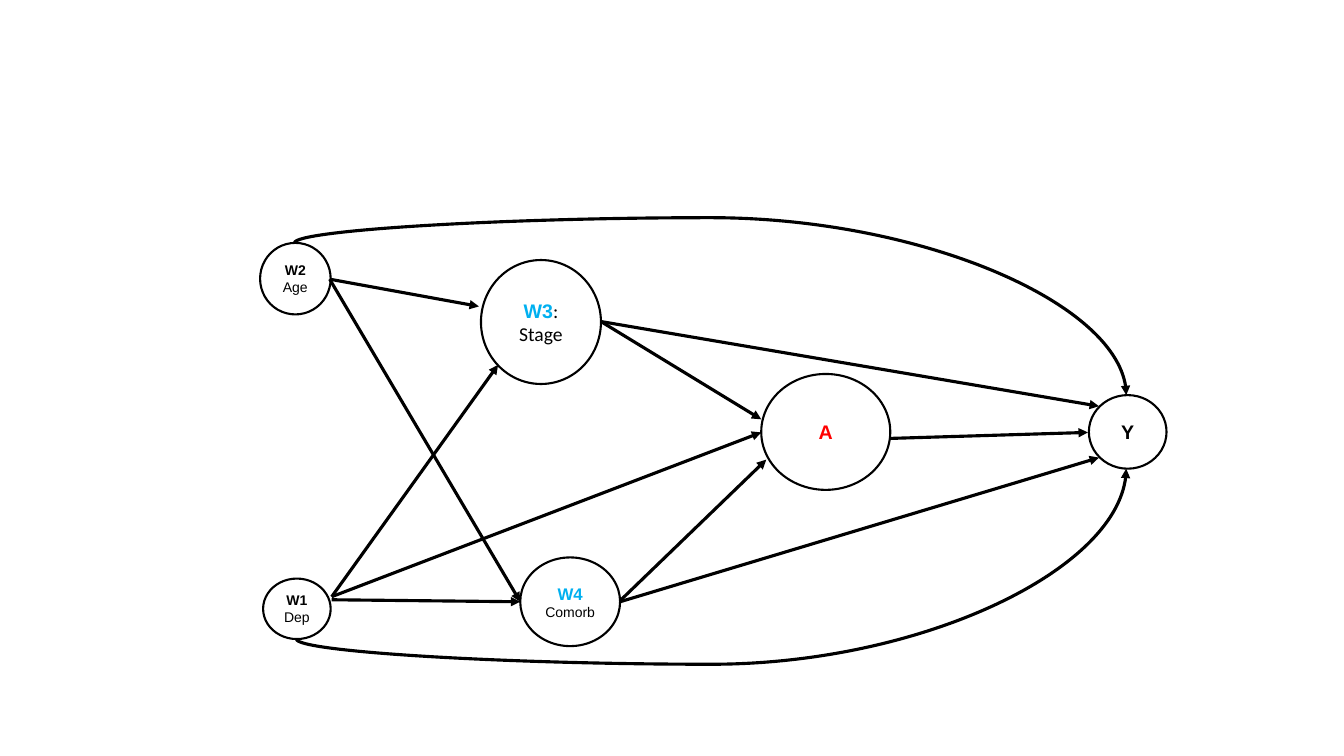
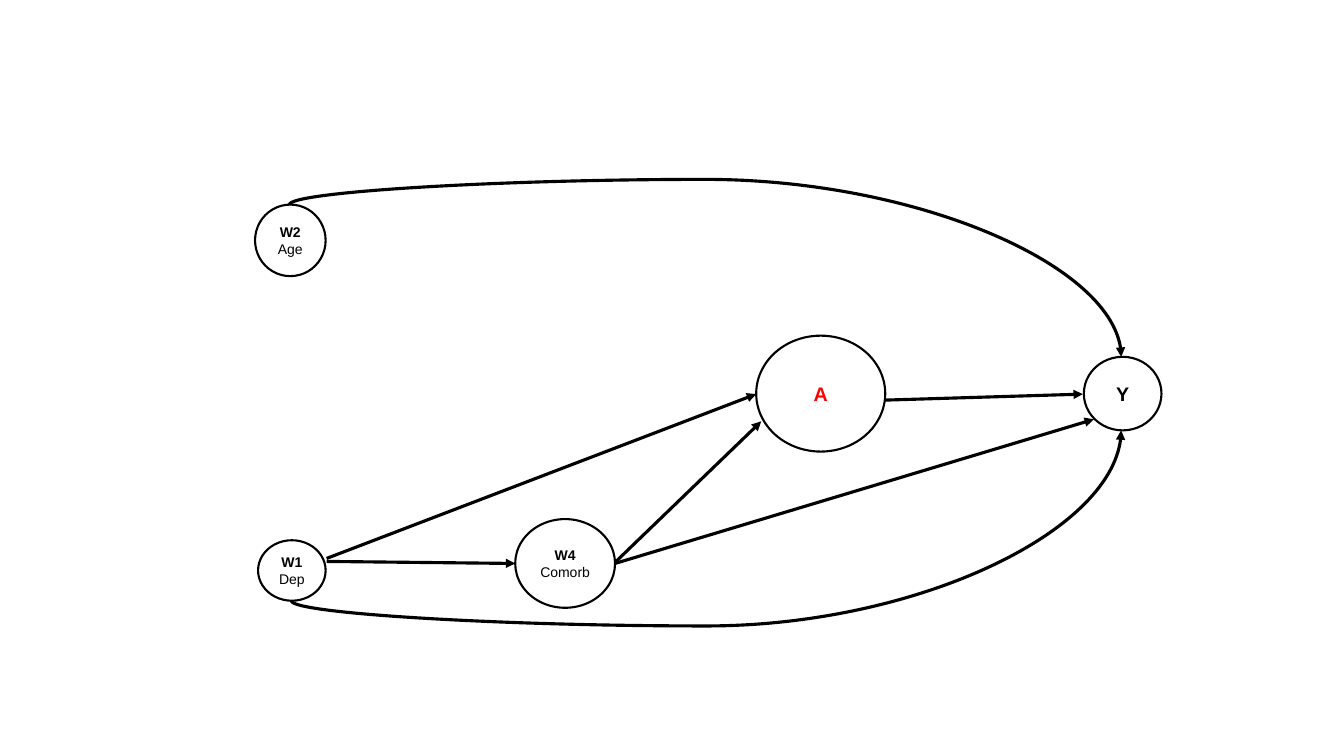
from dataclasses import dataclass

from lxml import etree
from pptx import Presentation
from pptx.dml.color import RGBColor
from pptx.enum.shapes import MSO_CONNECTOR, MSO_SHAPE
from pptx.enum.text import MSO_ANCHOR, PP_ALIGN
from pptx.oxml.ns import qn
from pptx.util import Inches, Pt


@dataclass(frozen=True)
class Theme:
    """Colours, fonts and sizes shared by both diagrams."""
    black: RGBColor = RGBColor(0x00, 0x00, 0x00)
    white: RGBColor = RGBColor(0xFF, 0xFF, 0xFF)
    blue: RGBColor = RGBColor(0x00, 0xB0, 0xF0)
    red: RGBColor = RGBColor(0xFF, 0x00, 0x00)
    main_font: str = "Arial"
    alt_font: str = "Calibri"
    small: int = 10
    medium: int = 12
    large: int = 14
    outline: float = 1.5
    arrow: float = 2.25
    bulge: float = 0.25  # how far a curved arrow swings past its start


theme = Theme()


def add_node(slide, box, lines):
    """Add a circle; each line is a list of (text, size, colour, bold, font) runs."""
    node = slide.shapes.add_shape(MSO_SHAPE.FLOWCHART_CONNECTOR, *map(Inches, box))
    node.shadow.inherit = False
    node.fill.solid()
    node.fill.fore_color.rgb = theme.white
    node.line.color.rgb = theme.black
    node.line.width = Pt(theme.outline)
    frame = node.text_frame
    frame.word_wrap = False
    frame.vertical_anchor = MSO_ANCHOR.MIDDLE
    frame.margin_left = frame.margin_right = 0
    for index, runs in enumerate(lines):
        paragraph = frame.add_paragraph() if index else frame.paragraphs[0]
        paragraph.alignment = PP_ALIGN.CENTER
        for text, size, colour, bold, font in runs:
            run = paragraph.add_run()
            run.text = text
            run.font.size = Pt(size)
            run.font.color.rgb = colour
            run.font.bold = bold
            run.font.name = font


def add_arrow(slide, start, end, curved=False):
    """Add a straight arrow, or one that leaves and arrives vertically."""
    kind = MSO_CONNECTOR.STRAIGHT
    (x1, y1), (x2, y2) = start, end
    rising = y2 < y1
    if curved:
        # The curve is laid out on its side, then turned about its centre.
        kind = MSO_CONNECTOR.CURVE
        mid_x, mid_y = (x1 + x2) / 2, (y1 + y2) / 2
        half_w, half_h = abs(y2 - y1) / 2, (x2 - x1) / 2
        side = 1 if rising else -1
        x1, x2 = mid_x + half_w, mid_x - half_w
        y1, y2 = mid_y + side * half_h, mid_y - side * half_h
    arrow = slide.shapes.add_connector(kind, *map(Inches, (x1, y1, x2, y2)))
    arrow.line.color.rgb = theme.black
    arrow.line.width = Pt(theme.arrow)
    properties = arrow._element.spPr
    line = properties.find(qn("a:ln"))
    etree.SubElement(line, qn("a:tailEnd"), type="triangle")
    etree.SubElement(properties, qn("a:effectLst"))
    if curved:
        degrees = 90 if rising else 270
        properties.find(qn("a:xfrm")).set("rot", str(degrees * 60000))
        adjust = -round(theme.bulge / (2 * half_w) * 100000)
        guides = properties.find(qn("a:prstGeom")).find(qn("a:avLst"))
        etree.SubElement(guides, qn("a:gd"), name="adj1", fmla=f"val {adjust}")


boxes = {
    "W2": (2.58, 2.41, 0.7, 0.71),
    "W1": (2.61, 5.74, 0.67, 0.6),
    "Y": (10.8, 3.92, 0.77, 0.73),
    "W3": (4.77, 2.58, 1.19, 1.23),
    "W4": (5.16, 5.53, 0.99, 0.88),
    "A": (7.55, 3.71, 1.28, 1.15),
}
black, main = theme.black, theme.main_font
labels = {
    "W2": [[("W2", theme.small, black, True, main)],
           [("Age", theme.small, black, False, main)]],
    "W1": [[("W1", theme.small, black, True, main)],
           [("Dep", theme.small, black, False, main)]],
    "Y": [[("Y", theme.large, black, True, main)]],
    "W3": [[("W3", theme.large, theme.blue, True, main),
            (":", theme.large, black, False, theme.alt_font)],
           [("Stage", theme.large, black, False, theme.alt_font)]],
    "A": [[("A", theme.large, theme.red, True, main)]],
}
# Each arrow: source node, target node, start point, end point.
straight_arrows = [
    ("W1", "W4", (3.29, 5.95), (5.16, 5.97)),
    ("W4", "A", (6.16, 5.95), (7.6, 4.56)),
    ("W3", "A", (5.96, 3.19), (7.55, 4.16)),
    ("A", "Y", (8.82, 4.35), (10.79, 4.29)),
    ("W1", "W3", (3.29, 5.92), (4.94, 3.62)),
    ("W1", "A", (3.29, 5.92), (7.55, 4.29)),
    ("W2", "W3", (3.27, 2.77), (4.75, 3.04)),
    ("W3", "Y", (5.96, 3.19), (10.9, 4.03)),
    ("W4", "Y", (6.15, 5.97), (10.9, 4.54)),
    ("W2", "W4", (3.27, 2.77), (5.16, 5.97)),
]
curved_arrows = [
    ("W1", "Y", (2.94, 6.34), (11.17, 4.65)),
    ("W2", "Y", (2.92, 2.41), (11.17, 3.92)),
]
# Each diagram: shift, left-out nodes, left-out arrows, W4 size and colour.
diagrams = [
    ((0, 0), set(), set(), theme.medium, theme.blue),
    ((-0.05, -0.38), {"W3"}, {("W2", "W4")}, theme.small, black),
]

presentation = Presentation()
presentation.slide_width = Inches(13.33)
presentation.slide_height = Inches(7.5)
blank_layout = presentation.slide_layouts[6]

for (dx, dy), hidden_nodes, hidden_arrows, w4_size, w4_colour in diagrams:
    slide = presentation.slides.add_slide(blank_layout)
    labels["W4"] = [[("W4", w4_size, w4_colour, True, main)],
                    [("Comorb", theme.small, black, False, main)]]
    for name, (left, top, width, height) in boxes.items():
        if name not in hidden_nodes:
            add_node(slide, (left + dx, top + dy, width, height), labels[name])
    for arrows, curved in ((straight_arrows, False), (curved_arrows, True)):
        for source, target, (x1, y1), (x2, y2) in arrows:
            if {source, target} & hidden_nodes or (source, target) in hidden_arrows:
                continue
            add_arrow(slide, (x1 + dx, y1 + dy), (x2 + dx, y2 + dy), curved)

presentation.save("out.pptx")
